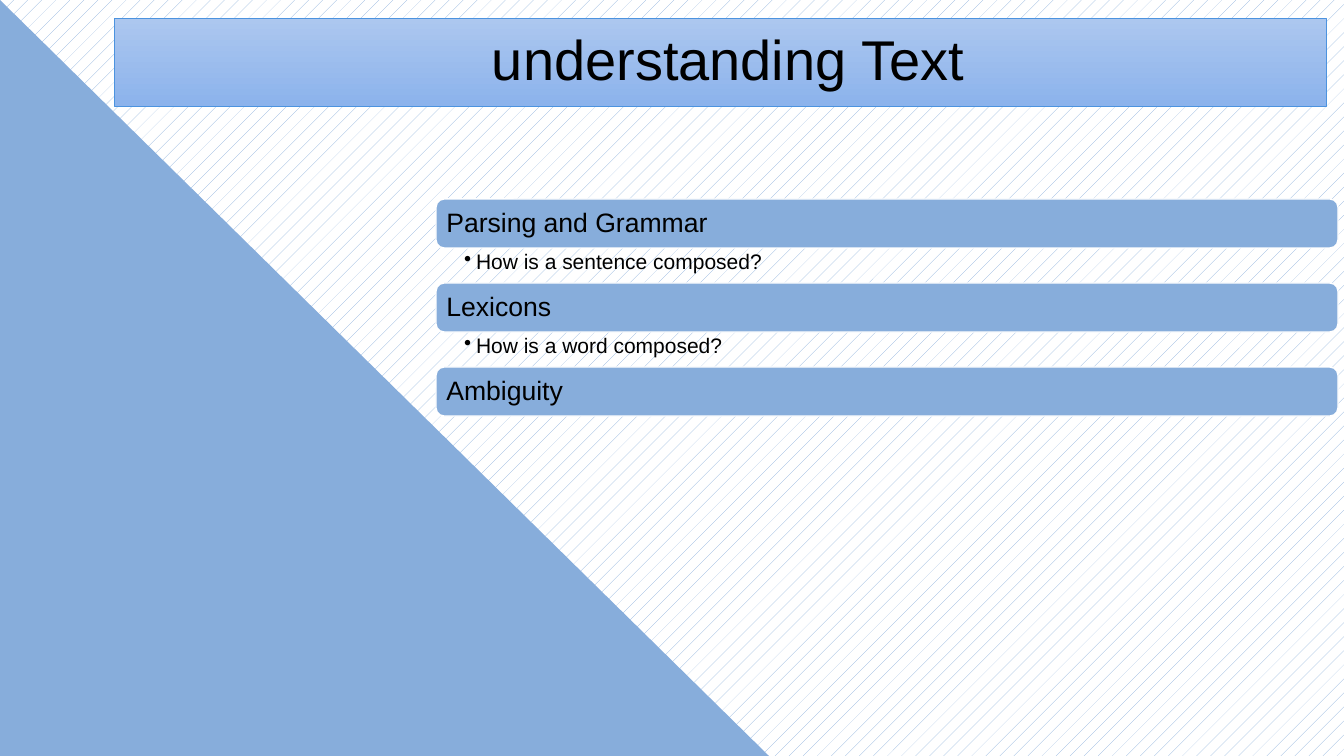
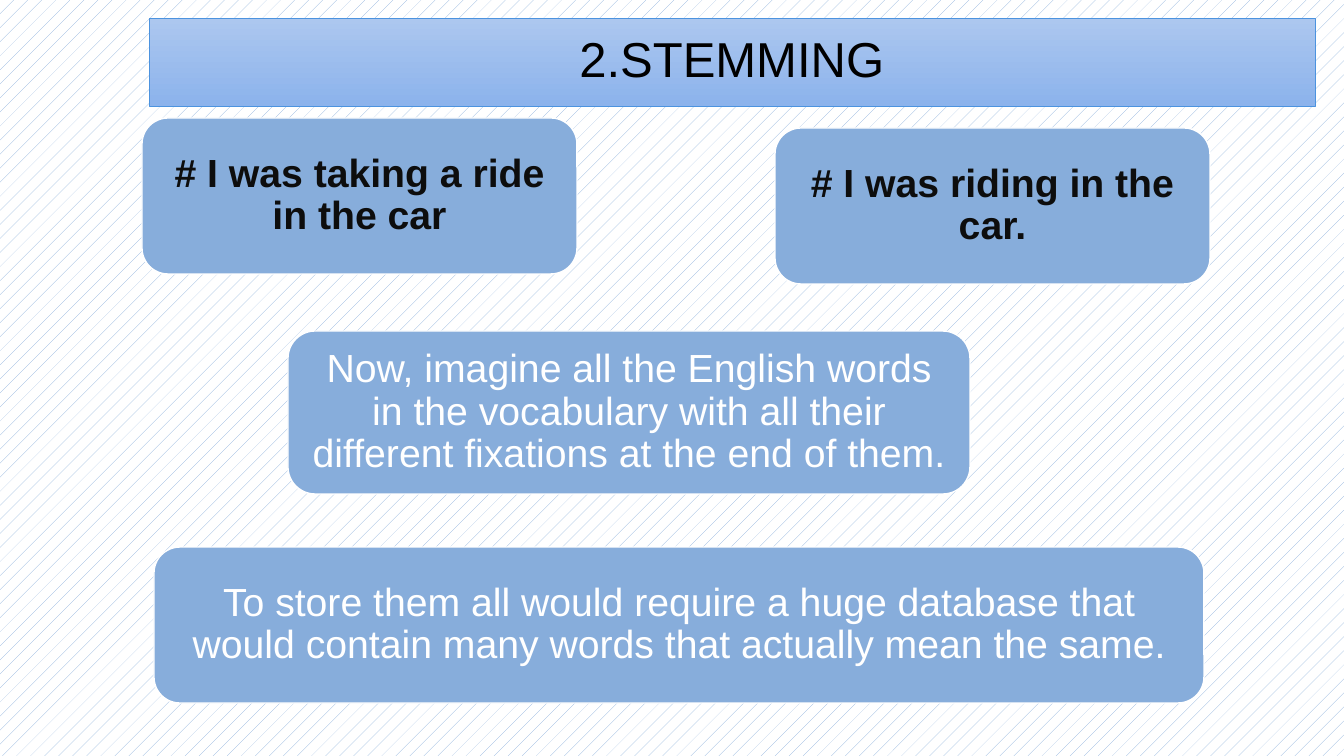
from lxml import etree
from pptx import Presentation
from pptx.dml.color import RGBColor
from pptx.enum.dml import MSO_PATTERN
from pptx.enum.shapes import MSO_SHAPE
from pptx.enum.text import MSO_ANCHOR, MSO_AUTO_SIZE, PP_ALIGN
from pptx.oxml.ns import qn
from pptx.util import Emu, Pt

PX = 914400 / 100.8
WIDTH, HEIGHT = 1344, 756
FONT = "Arial"
COLORS = {
    "accent": "87ADDB", "white": "FFFFFF", "black": "000000", "ink": "0D0D0D",
    "band_top": "ACC7EF", "band_bottom": "8CB3EC", "band_line": "4C93DF",
}
TITLE_ONLY = 5
DOTS = MSO_PATTERN.PERCENT_5
ROUNDED, TRIANGLE = MSO_SHAPE.ROUNDED_RECTANGLE, MSO_SHAPE.RIGHT_TRIANGLE
LEFT, CENTER = PP_ALIGN.LEFT, PP_ALIGN.CENTER
TOP, MIDDLE = MSO_ANCHOR.TOP, MSO_ANCHOR.MIDDLE
NO_AUTOFIT = MSO_AUTO_SIZE.NONE


def px(length):
    return Emu(round(length * PX))


def color(name):
    return RGBColor.from_string(COLORS[name])


def write(shape, text, size, ink="black", bold=False, align=LEFT,
          anchor=MIDDLE, insets=(10, 5, 10, 5), bullet_indent=0):
    """Write one paragraph into a shape."""
    frame = shape.text_frame
    frame.word_wrap = True
    frame.auto_size = NO_AUTOFIT
    frame.vertical_anchor = anchor
    (frame.margin_left, frame.margin_top,
     frame.margin_right, frame.margin_bottom) = map(px, insets)
    paragraph = frame.paragraphs[0]
    paragraph.alignment = align
    paragraph.line_spacing = 0.9
    if bullet_indent:
        properties = paragraph._p.get_or_add_pPr()
        properties.set("marL", str(px(bullet_indent)))
        properties.set("indent", str(-px(bullet_indent)))
        etree.SubElement(properties, qn("a:buChar")).set("char", "•")
    run = paragraph.add_run()
    run.text = text
    run.font.name, run.font.size, run.font.bold = FONT, Pt(size), bold
    run.font.color.rgb = color(ink)


def add_panel(slide, kind, box, outlined=True):
    """Add an accent-coloured shape."""
    shape = slide.shapes.add_shape(kind, *map(px, box))
    shape.shadow.inherit = False
    shape.fill.solid()
    shape.fill.fore_color.rgb = color("accent")
    if outlined:
        shape.line.color.rgb = color("white")
        shape.line.width = Pt(1)
    else:
        shape.line.fill.background()
    return shape


def add_titled_slide(presentation, title, size, box):
    """Add a slide with the dotted background and the title band."""
    slide = presentation.slides.add_slide(presentation.slide_layouts[TITLE_ONLY])
    background = slide.background.fill
    background.patterned()
    background.pattern = DOTS
    background.fore_color.rgb = color("accent")
    background.back_color.rgb = color("white")

    band = slide.shapes.title
    band.left, band.top, band.width, band.height = map(px, box)
    band.fill.gradient()
    band.fill.gradient_angle = 270
    for stop, name in zip(band.fill.gradient_stops, ("band_top", "band_bottom")):
        stop.color.rgb = color(name)
    band.line.color.rgb = color("band_line")
    band.line.width = Pt(0.5)
    write(band, title, size, align=CENTER)
    return slide


def add_topic_list(slide, box, topics):
    """Stack topic bars, each with an optional bullet below."""
    left, top, width, height = box
    row = height / len(topics)
    bar_height = 49
    for index, (topic, question) in enumerate(topics):
        bar_top = top + index * row
        bar = add_panel(slide, ROUNDED, (left, bar_top, width, bar_height))
        write(bar, topic, 19, insets=(8, 8, 8, 8))
        if question:
            detail = slide.shapes.add_textbox(*map(
                px, (left, bar_top + bar_height, width, row - bar_height)))
            write(detail, question, 15, anchor=TOP, insets=(28, 3, 15, 3),
                  bullet_indent=12)


def add_card(slide, box, text, ink, bold):
    card = add_panel(slide, ROUNDED, box)
    write(card, text, 28, ink, bold, CENTER, insets=(12, 6, 12, 6))


def build_understanding_slide(presentation):
    slide = add_titled_slide(presentation, " understanding Text", 40,
                             (114, 18, 1212, 88))
    # Corner triangle, behind everything else
    triangle = add_panel(slide, TRIANGLE, (0, 0, 769, HEIGHT), outlined=False)
    slide.shapes.title._element.addprevious(triangle._element)
    add_topic_list(slide, (436, 199, 902, 252), [
        ("Parsing and Grammar", "How is a sentence composed?"),
        ("Lexicons", "How is a word composed?"),
        ("Ambiguity", None),
    ])


def build_stemming_slide(presentation):
    slide = add_titled_slide(presentation, "2.STEMMING", 35, (149, 18, 1166, 88))
    # Example sentences
    for box, sentence in (
        ((142, 118, 435, 156), "# I was taking a ride in the car"),
        ((775, 128, 435, 156), "# I was riding in the car."),
    ):
        add_card(slide, box, sentence, "ink", True)
    # Explanations
    for box, explanation in (
        ((288, 331, 682, 163),
         "Now, imagine all the English words in the vocabulary with all "
         "their different fixations at the end of them."),
        ((154, 547, 1050, 156),
         "To store them all would require a huge database that would "
         "contain many words that actually mean the same."),
    ):
        add_card(slide, box, explanation, "white", False)


def main():
    presentation = Presentation()
    presentation.slide_width, presentation.slide_height = px(WIDTH), px(HEIGHT)
    build_understanding_slide(presentation)
    build_stemming_slide(presentation)
    presentation.save("out.pptx")


if __name__ == "__main__":
    main()
